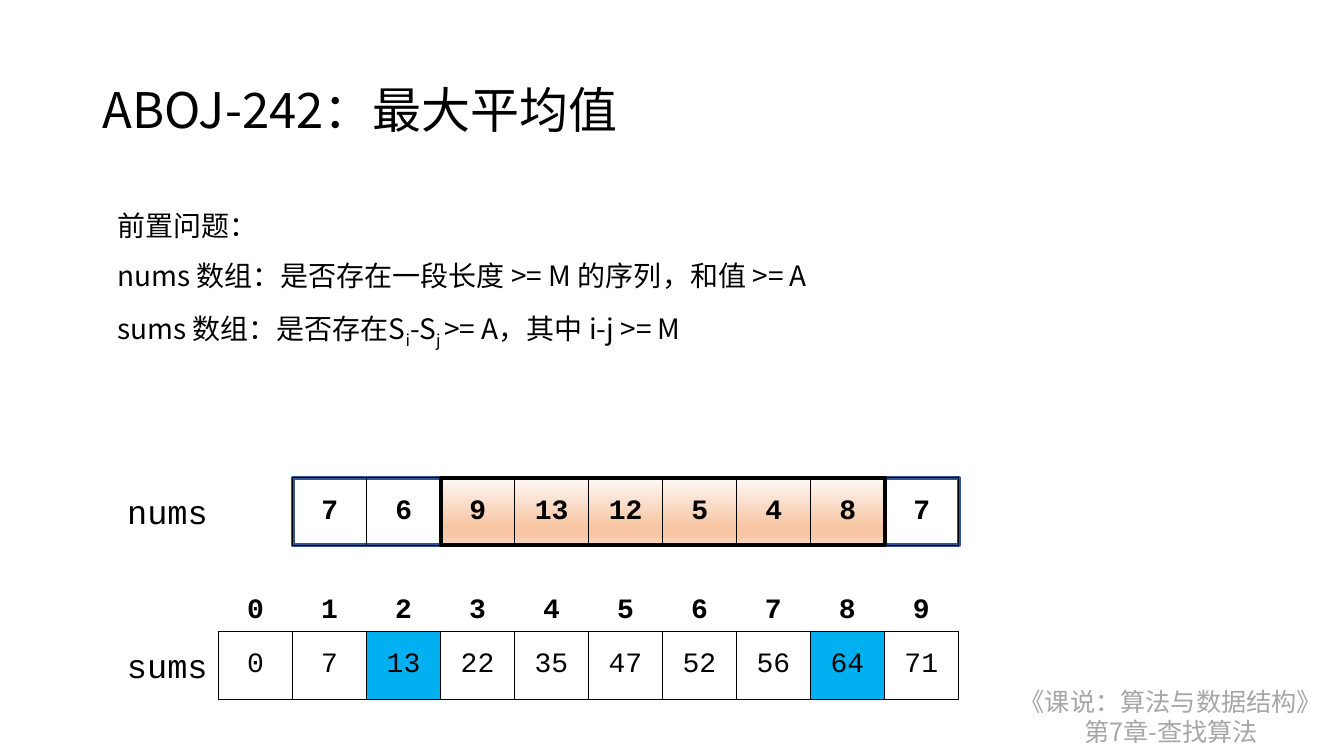
from dataclasses import dataclass

from lxml.etree import SubElement
from pptx import Presentation
from pptx.dml.color import RGBColor as Rgb
from pptx.enum.shapes import MSO_SHAPE as Shape
from pptx.enum.text import MSO_ANCHOR as Anchor, MSO_AUTO_SIZE as AutoSize, PP_ALIGN as Align
from pptx.oxml.ns import qn
from pptx.util import Cm, Pt


@dataclass(frozen=True)
class Theme:
    """Colours, fonts and type sizes of the slide."""
    ink: str = "000000"
    muted: str = "A6A6A6"
    frame: str = "325491"
    marked: str = "00B0F0"
    window: tuple = ((0, "FEF8F5"), (74, "F7C5A2"), (83, "F7C5A2"), (100, "FAD8C1"))
    sans: str = "Noto Sans CJK SC"
    mono: str = "Courier New"
    title: int = 35
    label: int = 24
    body: int = 20
    footer: int = 18


THEME = Theme()
TITLE = "ABOJ-242：最大平均值"
QUESTION = (
    (("前置问题：", False),),
    (("nums 数组：是否存在一段长度 >= M 的序列，和值 >= A", False),),
    (("sums 数组：是否存在S", False), ("i", True), ("-S", False), ("j ", True),
     (">= A，其中 i-j >= M", False)),
)
FOOTER = ((("《课说：算法与数据结构》", False),), (("第7章-查找算法", False),))
NUMS = (7, 6, 9, 13, 12, 5, 4, 8, 7)
SUMS = tuple(sum(NUMS[:count]) for count in range(len(NUMS) + 1))
WINDOW = (2, 8)


def style_run(span, size, font, color=THEME.ink, bold=False, subscript=False):
    """Format a run for both Latin and East Asian text."""
    span.font.size, span.font.bold, span.font.name = Pt(size), bold, font
    span.font.color.rgb = Rgb.from_string(color)
    properties = span._r.get_or_add_rPr()
    SubElement(properties, qn("a:ea")).set("typeface", font)
    if subscript:
        properties.set("baseline", "-25000")


def add_text(page, box, lines, size, font, color=THEME.ink, align=Align.LEFT, spacing=1.0):
    """Add an unwrapped text box whose lines are (text, subscript) spans."""
    frame = page.shapes.add_textbox(*map(Cm, box)).text_frame
    frame.word_wrap = False
    frame.auto_size = AutoSize.SHAPE_TO_FIT_TEXT
    for index, line in enumerate(lines):
        para = frame.add_paragraph() if index else frame.paragraphs[0]
        para.alignment, para.line_spacing = align, spacing
        for text, subscript in line:
            span = para.add_run()
            span.text = text
            style_run(span, size, font, color, subscript=subscript)


def add_title(page, box):
    """Place and format the title placeholder."""
    title = page.shapes.title
    title.left, title.top, title.width, title.height = map(Cm, box)
    frame = title.text_frame
    frame.text = TITLE
    frame.auto_size, frame.vertical_anchor = AutoSize.NONE, Anchor.MIDDLE
    para = frame.paragraphs[0]
    para.alignment, para.line_spacing = Align.LEFT, 0.9
    style_run(para.runs[0], THEME.title, THEME.sans)


def add_frame(page, box, color, stops=()):
    """Add a thick outlined rectangle, with a vertical gradient if stops are given."""
    shape = page.shapes.add_shape(Shape.RECTANGLE, *map(Cm, box))
    shape.shadow.inherit = False
    shape.line.color.rgb, shape.line.width = Rgb.from_string(color), Pt(3)
    if not stops:
        shape.fill.background()
        return
    shape.fill.gradient()
    shape.fill.gradient_angle = 270
    stop_list = shape._element.spPr.find(".//" + qn("a:gsLst"))
    stop_list.clear()
    for position, stop_color in stops:
        stop = SubElement(stop_list, qn("a:gs"), pos=str(position * 1000))
        SubElement(stop, qn("a:srgbClr"), val=stop_color)


def fill_cell(cell, value, bold, sides, anchor=Anchor.MIDDLE, color=None):
    """Write a value in a cell and set its borders and fill."""
    cell.text = str(value)
    cell.vertical_anchor = anchor
    para = cell.text_frame.paragraphs[0]
    para.alignment = Align.CENTER
    style_run(para.runs[0], THEME.body, THEME.mono, bold=bold)
    properties = cell._tc.get_or_add_tcPr()
    for side in sides:
        border = SubElement(properties, qn("a:ln" + side), w=str(Pt(1)))
        SubElement(SubElement(border, qn("a:solidFill")), qn("a:srgbClr"), val=THEME.ink)
    if color:
        cell.fill.solid()
        cell.fill.fore_color.rgb = Rgb.from_string(color)
    else:
        cell.fill.background()


def add_grid(page, box, row_count, column_count):
    """Add an unbanded table with equal columns and rows."""
    table = page.shapes.add_table(row_count, column_count, *map(Cm, box)).table
    table.first_row = table.horz_banding = False
    for column in table.columns:
        column.width = Cm(box[2] / column_count)
    for row in table.rows:
        row.height = Cm(box[3] / row_count)
    return table


def add_label(page, left, top, text):
    """Add the name of an array."""
    add_text(page, (left, top, 2.56, 1.28), (((text, False),),), THEME.label, THEME.mono)


def add_nums(page, box):
    """Draw the nums array with its highlighted window."""
    left, top, width, height = box
    step = width / len(NUMS)
    start, end = WINDOW
    add_frame(page, box, THEME.frame)
    add_label(page, left - 4.42, top + 0.2, "nums")
    add_frame(page, (left + start * step, top, (end - start) * step, height),
              THEME.ink, THEME.window)
    table = add_grid(page, box, 1, len(NUMS))
    for column, value in enumerate(NUMS):
        fill_cell(table.cell(0, column), value, True, "LRTB")


def add_sums(page, box):
    """Draw the indexed prefix sums with the window ends marked."""
    table = add_grid(page, box, 2, len(SUMS))
    for index, value in enumerate(SUMS):
        color = THEME.marked if index in WINDOW else None
        fill_cell(table.cell(0, index), index, True, "B", Anchor.BOTTOM)
        fill_cell(table.cell(1, index), value, False, "LRTB", color=color)
    add_label(page, box[0] - 2.56, box[1] + 1.9, "sums")


def build_slide(deck):
    """Lay out the whole slide."""
    page = deck.slides.add_slide(deck.slide_layouts[5])
    add_text(page, (25.32, 17.17, 8.38, 1.8), FOOTER, THEME.footer, THEME.sans,
             THEME.muted, Align.CENTER)
    add_title(page, (2.33, 1.01, 29.21, 3.68))
    add_text(page, (2.7, 4.7, 19.15, 3.96), QUESTION, THEME.body, THEME.sans, spacing=1.5)
    left, width = 5.51, 18.65
    step = width / len(SUMS)
    add_nums(page, (left + step, 12.04, width - step, 1.7))
    add_sums(page, (left, 14.22, width, 3.4))


deck = Presentation()
deck.slide_width, deck.slide_height = Cm(33.87), Cm(19.05)
build_slide(deck)
deck.save("out.pptx")
